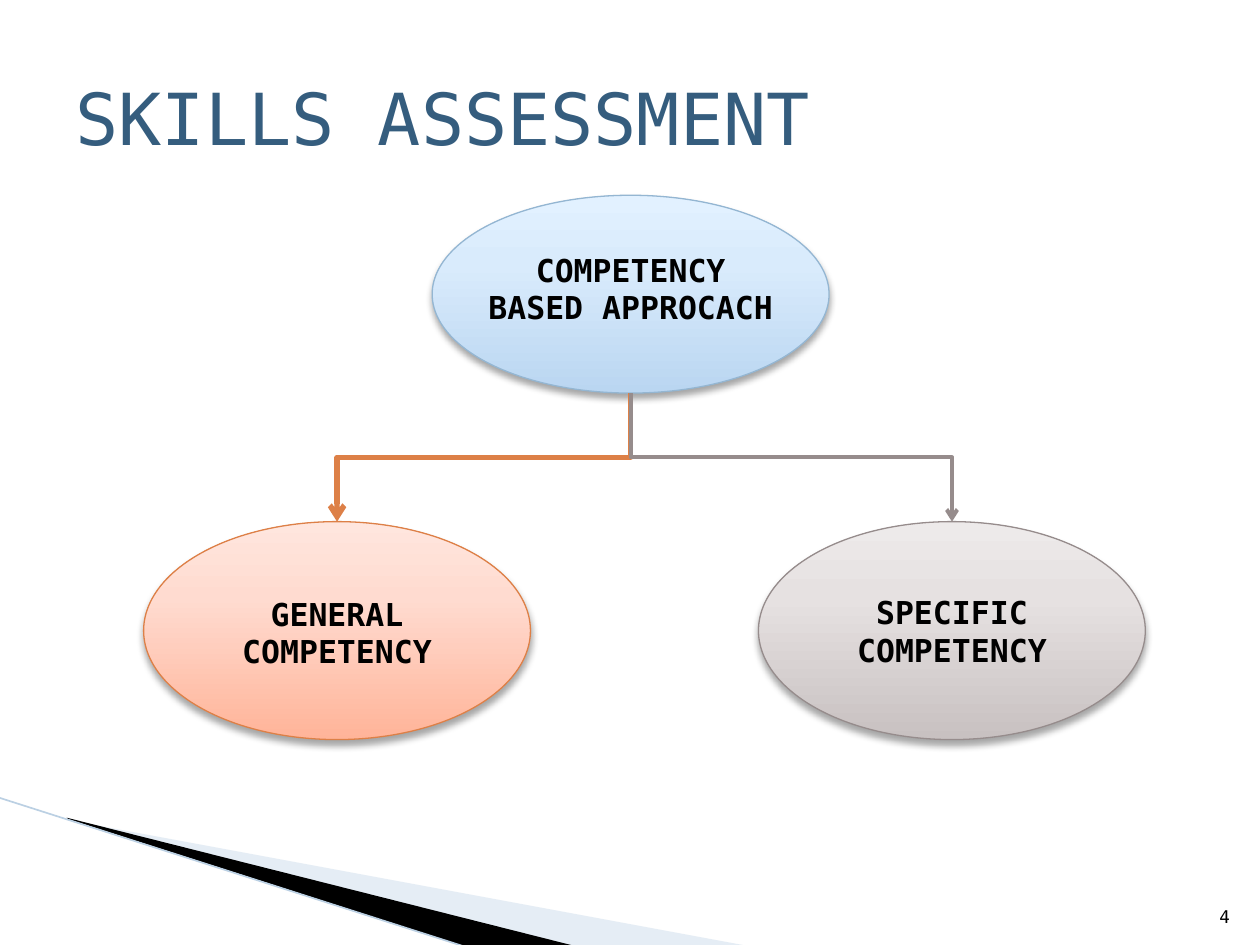
from lxml import etree
from pptx import Presentation
from pptx.dml.color import RGBColor
from pptx.enum import shapes, text
from pptx.oxml import parse_xml
from pptx.oxml.ns import nsdecls, qn
from pptx.util import Inches, Pt

FONT = "DejaVu Sans Mono"
COLORS = {"ink": "000000", "title": "355D7E", "mist": "C0D3E6", "edge": "BBD0E3",
          "blue": "94B6D2", "orange": "DD8047", "gray": "968C8C"}
GRADIENTS = {"blue": ("BAD6F1", "D9EBFC", "E2F1FF"),
             "orange": ("FFB499", "FFDBD0", "FFE6DE"),
             "gray": ("C8C1C1", "E6E1E1", "EDEAEA")}
STOPS = (0, 65, 100)
TITLE = "SKILLS ASSESSMENT"
PAGE_NUMBER = "4"
OVALS = [
    {"color": "blue", "at": (3.43, 1.55, 3.15, 1.57), "label_top": 1.94,
     "lines": ["COMPETENCY", "BASED APPROCACH"]},
    {"color": "orange", "at": (1.14, 4.14, 3.07, 1.73), "label_top": 4.67,
     "lines": ["GENERAL", "COMPETENCY"]},
    {"color": "gray", "at": (6.02, 4.14, 3.07, 1.73), "label_top": 4.66,
     "lines": ["SPECIFIC COMPETENCY"]},
]
ARROWS = [{"child": 1, "width": 3, "turn": 90, "flip": False},
          {"child": 2, "width": 2.25, "turn": 270, "flip": True}]
WEDGES = [("mist", 40, [(0.55, 6.51), (5.95, 7.51), (4.56, 7.51), (0.55, 6.5)]),
          ("ink", 100, [(0.53, 6.49), (4.57, 7.51), (3.72, 7.52), (0.54, 6.5)])]
LABEL_SIZE = (2.83, 0.71)


def rgb(name):
    return RGBColor.from_string(COLORS[name])


def inches(*values):
    return [Inches(value) for value in values]


def write(frame, lines, size, color="ink", bold=False, align=None, anchor=None):
    frame.word_wrap = True
    if anchor is not None:
        frame.vertical_anchor = anchor
    for index, line in enumerate(lines):
        para = frame.add_paragraph() if index else frame.paragraphs[0]
        para.alignment = align
        span = para.add_run()
        span.text = line
        span.font.name, span.font.size, span.font.bold = FONT, Pt(size), bold
        span.font.color.rgb = rgb(color)


def draw_line(page, kind, ends, color, width):
    line = page.shapes.add_connector(kind, *inches(*ends))
    line.line.color.rgb, line.line.width = rgb(color), Pt(width)
    etree.SubElement(line._element.spPr, qn("a:effectLst"))
    return line


def draw_wedge(page, color, opacity, points):
    corners = [inches(*point) for point in points]
    builder = page.shapes.build_freeform(*corners[0])
    builder.add_line_segments(corners[1:], close=True)
    wedge = builder.convert_to_shape()
    wedge.shadow.inherit = False
    wedge.fill.solid()
    wedge.fill.fore_color.rgb = rgb(color)
    wedge.line.fill.background()
    if opacity < 100:
        tone = wedge._element.spPr.find(".//" + qn("a:srgbClr"))
        etree.SubElement(tone, qn("a:alpha"), val=str(opacity * 1000))


def draw_oval(page, color, at):
    oval = page.shapes.add_shape(shapes.MSO_SHAPE.OVAL, *inches(*at))
    oval.line.color.rgb, oval.line.width = rgb(color), Pt(0.75)
    oval.fill.gradient()
    oval.fill.gradient_angle = 90
    stops = oval._element.spPr.find(".//" + qn("a:gsLst"))
    for old in list(stops):
        stops.remove(old)
    for position, tone in zip(STOPS, GRADIENTS[color]):
        stop = etree.SubElement(stops, qn("a:gs"), pos=str(position * 1000))
        etree.SubElement(stop, qn("a:srgbClr"), val=tone)
    oval.shadow.inherit = False
    oval._element.spPr.find(qn("a:effectLst")).append(parse_xml(
        f'<a:outerShdw {nsdecls("a")} blurRad="{Pt(4)}" dist="{Pt(3)}" dir="5400000" '
        'rotWithShape="0"><a:srgbClr val="000000"><a:alpha val="35000"/></a:srgbClr>'
        '</a:outerShdw>'))


def draw_label(page, at, label_top, lines):
    left, _, width, _ = at
    box = page.shapes.add_textbox(
        *inches(left + (width - LABEL_SIZE[0]) / 2, label_top, *LABEL_SIZE))
    write(box.text_frame, lines, 18, bold=True, align=text.PP_ALIGN.CENTER)


def draw_arrow(page, child, width, turn, flip):
    left, top, wide, tall = OVALS[0]["at"]
    start_x, start_y = left + wide / 2, top + tall
    left, end_y, wide, _ = OVALS[child]["at"]
    end_x = left + wide / 2
    drop, run = end_y - start_y, abs(end_x - start_x)
    middle_x, middle_y = (start_x + end_x) / 2, (start_y + end_y) / 2
    ends = (middle_x - drop / 2, middle_y - run / 2, middle_x + drop / 2, middle_y + run / 2)
    arrow = draw_line(page, shapes.MSO_CONNECTOR.ELBOW, ends, OVALS[child]["color"], width)
    frame = arrow._element.spPr.find(qn("a:xfrm"))
    frame.set("rot", str(turn * 60000))
    if flip:
        frame.set("flipH", "1")
    etree.SubElement(arrow.line._get_or_add_ln(), qn("a:tailEnd"), type="arrow")


deck = Presentation()
deck.slide_width, deck.slide_height = inches(10, 7.5)
page = deck.slides.add_slide(deck.slide_layouts[5])

for wedge in WEDGES:
    draw_wedge(page, *wedge)
draw_line(page, shapes.MSO_CONNECTOR.STRAIGHT, (-0.01, 6.33, 3.71, 7.52), "edge", 0.95)

title = page.shapes.title
title.left, title.top, title.width, title.height = inches(0.5, 0.3, 9, 1.25)
write(title.text_frame, [TITLE], 41, "title", align=text.PP_ALIGN.LEFT,
      anchor=text.MSO_ANCHOR.MIDDLE)

number = page.shapes.add_textbox(*inches(9.46, 7.01, 0.4, 0.4))
write(number.text_frame, [PAGE_NUMBER], 10, align=text.PP_ALIGN.RIGHT,
      anchor=text.MSO_ANCHOR.BOTTOM)

for oval in OVALS:
    draw_oval(page, oval["color"], oval["at"])
for oval in OVALS:
    draw_label(page, oval["at"], oval["label_top"], oval["lines"])
for arrow in ARROWS:
    draw_arrow(page, **arrow)

deck.save("out.pptx")
